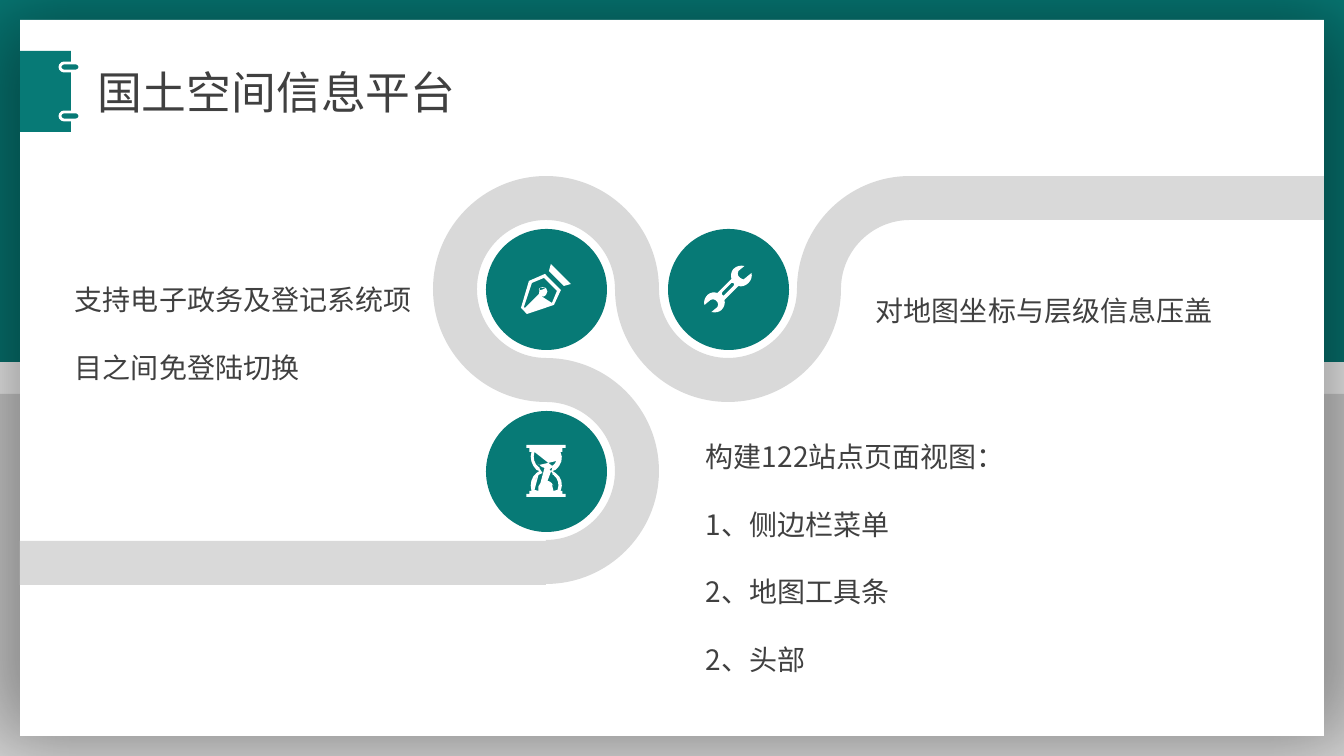
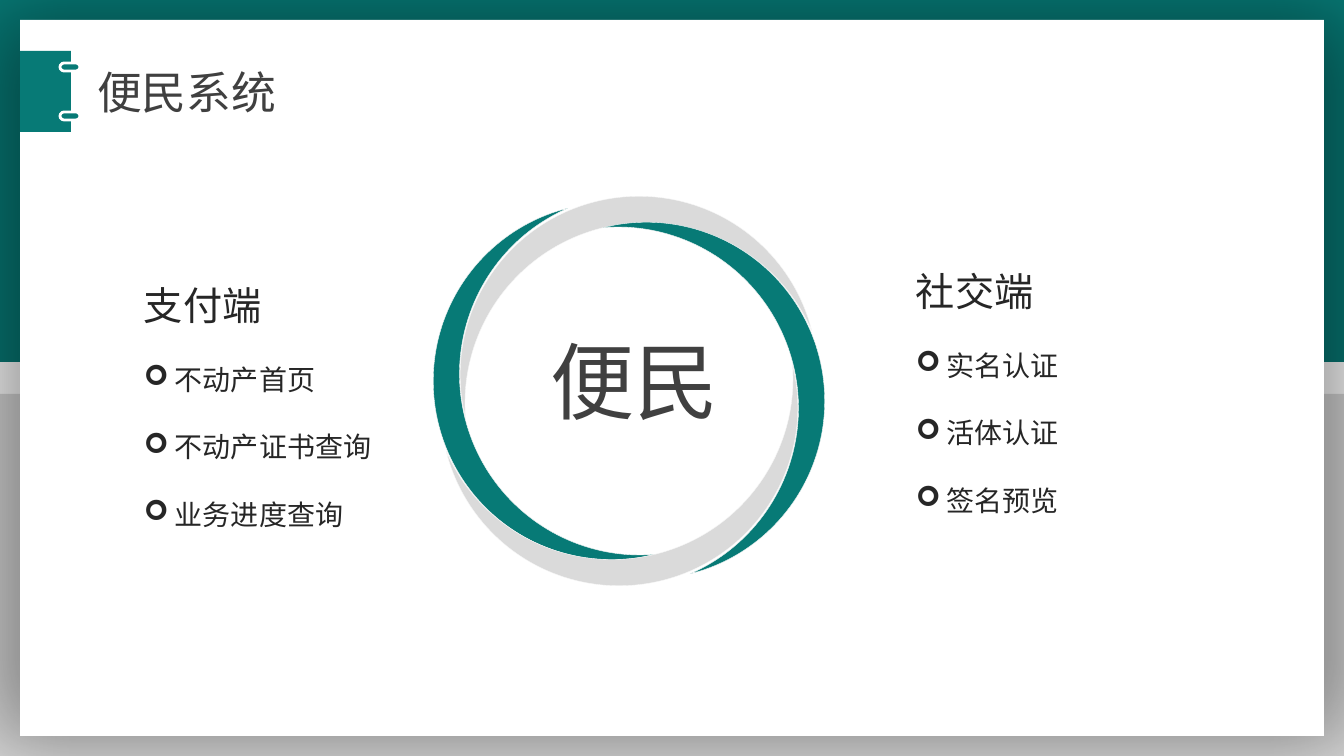
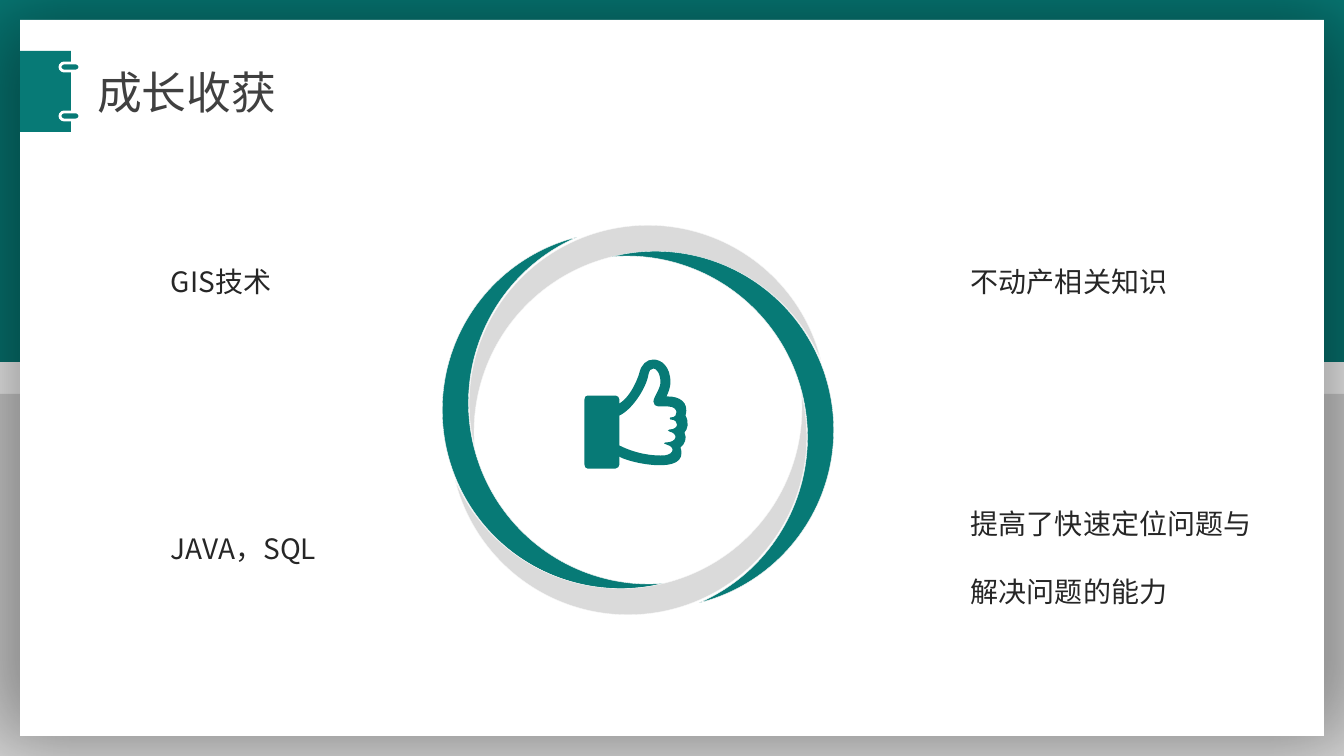
import dataclasses

import lxml.etree
import pptx
import pptx.dml.color
import pptx.enum.shapes
import pptx.enum.text
import pptx.oxml.ns
import pptx.util

SHAPES = pptx.enum.shapes.MSO_SHAPE
ANCHOR = pptx.enum.text.MSO_ANCHOR
EMU_PER_PX = 914400 / 100.8
PAGE_WIDTH, PAGE_HEIGHT = 1344, 756
PANEL_MARGIN = 20


@dataclasses.dataclass(frozen=True)
class Theme:
    teal: str = "077A76"
    band: str = "DADADA"
    road: str = "D9D9D9"
    white: str = "FFFFFF"
    edge: str = "F8F8F8"
    title: str = "404040"
    text: str = "262626"
    font: str = "Noto Sans CJK SC"
    display_font: str = "Noto Sans CJK JP"
    bullet_font: str = "Wingdings"
    title_size: int = 32
    heading_size: int = 28
    body_size: int = 20
    display_size: int = 60
    line_height: float = 2.41


THEME = Theme()

# Each outline is a list of points; six numbers make a cubic curve.
PEN = (
    "50,20 43,22 28,7 30,0",
    "24,10 40,26 33,41 6,50 0,44 8,17",
    "36,27 23,14 11,19 3,43 4,44 18,30 17,28,17,26,19,24 20,23,23,23,25,24 "
    "27,26,27,29,25,31 24,33,22,33,20,32 6,46 7,47 31,39",
)
HOURGLASS = (
    "36,3 39,3 39,0 0,0 0,3 3,3 3,7 5,7 3,13,5,20,10,25 11,25,12,26,13,26 "
    "12,27,11,27,10,28 5,32,3,39,5,46 3,46 3,49 0,49 0,52 39,52 39,49 36,49 "
    "36,46 34,46 37,39,35,32,29,28 28,27,27,27,26,26 27,26,28,25,29,25 "
    "35,20,37,13,34,7 36,7",
    "27,22 26,23,24,24,23,24 23,28 24,29,26,29,27,30 32,34,33,40,31,45 31,46 "
    "27,46 28,43,27,40,25,38 24,37,23,36,21,36 21,23 23,22,25,22,27,20 "
    "28,19,29,18,30,16 10,16 10,18,11,19,13,20 14,22,16,22,18,23 18,36 "
    "17,36,15,37,14,38 12,40,11,43,12,46 8,46 8,45 6,40,8,34,12,30 "
    "13,29,15,29,16,28 16,24 15,24,13,23,12,22 8,19,6,13,8,7 31,7 "
    "33,13,32,19,27,22",
)
WRENCH = (
    "48,8 42,13 41,15,39,15,37,13 35,11 34,10,34,8,35,6 41,1 37,0,33,1,30,4 "
    "28,6,27,10,28,14 14,28 11,27,7,27,4,30 1,33,0,37,1,40 7,35 "
    "8,34,11,34,12,35 14,37 15,38,15,41,14,42 8,47 12,48,16,47,18,45 "
    "21,42,22,38,21,35 35,21 38,22,42,21,45,18 48,15,49,11,48,8",
    "30,21 21,30 21,31,20,31,19,30 18,29,18,28,19,27 28,18 29,18,30,18,30,18 "
    "31,19,31,20,30,21",
)
THUMB_UP = (
    "96,88 106,118,40,102,35,97 35,105 35,107,33,109,31,109 3,109 "
    "1,109,0,107,0,105 0,40 0,38,1,36,3,36 31,36 33,36,35,38,35,40 35,44 "
    "48,36,55,14,55,13 57,5,62,0,69,0 77,0,86,7,86,23 86,27,84,33,82,37 "
    "84,37 94,37,105,42,101,56 105,63,103,70,100,73 103,79,100,85,96,88",
    "85,70 95,70,95,60,86,60 85,59,85,58,86,58 95,58,94,47,84,47 74,47 "
    "71,47,69,45,69,42 69,38,76,29,76,23 76,14,72,9,69,9 66,9,65,11,64,15 "
    "62,28,48,50,35,56 35,86 53,95,69,96,76,96 88,97,93,88,82,85 "
    "79,84,79,83,81,83 93,83,94,74,85,72 83,72,83,70,85,70",
)


def px(length):
    return pptx.util.Emu(round(length * EMU_PER_PX))


def rgb(color):
    return pptx.dml.color.RGBColor.from_string(color)


def add_child(parent, tag, **attributes):
    child = lxml.etree.SubElement(parent, pptx.oxml.ns.qn(tag))
    for name, value in attributes.items():
        child.set(name, str(value))
    return child


def paint(shape, fill, line=None, line_width=0):
    shape.shadow.inherit = False
    shape.fill.solid()
    shape.fill.fore_color.rgb = rgb(fill)
    if line:
        shape.line.color.rgb = rgb(line)
        shape.line.width = pptx.util.Pt(line_width)
    else:
        shape.line.fill.background()
    return shape


def add_preset(slide, preset, box, fill, line=None, line_width=0):
    shape = slide.shapes.add_shape(preset, *map(px, box))
    return paint(shape, fill, line, line_width)


def add_outline(slide, contours, fill):
    """Draw contours of segments, each a list of points: one for a line, three for a curve."""
    builder = None
    for contour in contours:
        ends = [tuple(map(px, segment[-1])) for segment in contour]
        if builder is None:
            builder = slide.shapes.build_freeform(*ends[0])
        else:
            builder.move_to(*ends[0])
        builder.add_line_segments(ends[1:])
    shape = builder.convert_to_shape()
    lines = list(shape.element.iter(pptx.oxml.ns.qn("a:lnTo")))
    segments = []
    for contour in contours:
        segments += contour[1:]
        if contour[0][-1] != contour[-1][-1]:
            segments.append(contour[0])
    for line, segment in zip(lines, segments):
        if len(segment) == 3:
            line.tag = pptx.oxml.ns.qn("a:cubicBezTo")
            line.clear()
            for x, y in segment:
                add_child(line, "a:pt", x=px(x) - shape.left, y=px(y) - shape.top)
    paint(shape, fill)


def add_icon(slide, outlines, center, fill):
    """Draw an icon centred on a point; inner outlines cut holes."""
    contours = []
    for outline in outlines:
        numbers = [[int(value) for value in token.split(",")] for token in outline.split()]
        contours.append([list(zip(values[::2], values[1::2])) for values in numbers])
    ends = [segment[-1] for contour in contours for segment in contour]
    shift_x, shift_y = [
        middle - (min(values) + max(values)) / 2
        for middle, values in zip(center, zip(*ends))
    ]
    placed = [
        [[(x + shift_x, y + shift_y) for x, y in segment] for segment in contour]
        for contour in contours
    ]
    add_outline(slide, placed, fill)


def style_paragraph(paragraph, size, color, font=THEME.font):
    paragraph.alignment = pptx.enum.text.PP_ALIGN.LEFT
    paragraph.font.size = pptx.util.Pt(size)
    paragraph.font.color.rgb = rgb(color)
    paragraph.font.name = font
    properties = paragraph._p.pPr.find(pptx.oxml.ns.qn("a:defRPr"))
    add_child(properties, "a:ea", typeface=font)


def add_text(slide, box, lines, color=THEME.text, heading=None):
    """Place widely spaced lines; under a heading they become a bulleted list."""
    frame = slide.shapes.add_textbox(*map(px, box)).text_frame
    frame.word_wrap = True
    entries = [(heading, THEME.heading_size, False)] if heading else []
    entries += [(line, THEME.body_size, bool(heading)) for line in lines]
    for index, (text, size, bulleted) in enumerate(entries):
        paragraph = frame.add_paragraph() if index else frame.paragraphs[0]
        paragraph.text = text
        paragraph.line_spacing = pptx.util.Pt(round(size * THEME.line_height, 1))
        if bulleted:
            properties = paragraph._p.get_or_add_pPr()
            properties.set("marL", str(px(31)))
            properties.set("indent", str(-px(31)))
            add_child(properties, "a:buFont", typeface=THEME.bullet_font)
            add_child(properties, "a:buChar", char="➢")
        style_paragraph(paragraph, size, color)


def build_frame(slide):
    """Put the bands, the panel and the title tab on the slide's layout."""
    band_height = 362
    panel_box = (PANEL_MARGIN, PANEL_MARGIN,
                 PAGE_WIDTH - 2 * PANEL_MARGIN, PAGE_HEIGHT - 2 * PANEL_MARGIN)
    top_band = (0, 0, PAGE_WIDTH, band_height)
    bottom_band = (0, PAGE_HEIGHT - band_height, PAGE_WIDTH, band_height)
    parts = [
        add_preset(slide, SHAPES.RECTANGLE, top_band, THEME.teal),
        add_preset(slide, SHAPES.RECTANGLE, bottom_band, THEME.band),
    ]
    panel = add_preset(slide, SHAPES.RECTANGLE, panel_box, THEME.white)
    effects = panel.element.spPr.find(pptx.oxml.ns.qn("a:effectLst"))
    shadow = add_child(effects, "a:outerShdw", blurRad=pptx.util.Pt(63), dist=0,
                       sx=104000, sy=102000, algn="ctr", rotWithShape=0)
    add_child(add_child(shadow, "a:srgbClr", val="000000"), "a:alpha", val=40000)
    parts.append(panel)
    parts.append(add_preset(slide, SHAPES.RECTANGLE, (PANEL_MARGIN, 51, 51, 81), THEME.teal))
    for clip_top in (63, 112):
        clip = add_preset(slide, SHAPES.ROUNDED_RECTANGLE, (60, clip_top, 20, 8),
                          THEME.teal, THEME.white, 2)
        clip.adjustments[0] = 0.5
        parts.append(clip)
    layout_tree = slide.slide_layout.shapes.element
    for index, part in enumerate(parts):
        part.element.nvSpPr.cNvPr.set("id", str(100 + index))
        layout_tree.insert(2 + index, part.element)


def set_title(slide, text):
    title = slide.shapes.title
    title.left, title.top, title.width, title.height = map(px, (87, 59, 422, 65))
    frame = title.text_frame
    frame.text = text
    frame.auto_size = pptx.enum.text.MSO_AUTO_SIZE.NONE
    frame.vertical_anchor = ANCHOR.MIDDLE
    style_paragraph(frame.paragraphs[0], THEME.title_size, THEME.title)


def add_road_quarter(slide, center, outer, inner, side_x, side_y):
    """Draw a quarter ring on the side of the centre given by two signs."""
    handle = 0.55

    def at(radius, x, y):
        return center[0] + side_x * radius * x, center[1] + side_y * radius * y

    contour = [
        [at(outer, 1, 0)],
        [at(outer, 1, handle), at(outer, handle, 1), at(outer, 0, 1)],
        [at(inner, 0, 1)],
        [at(inner, handle, 1), at(inner, 1, handle), at(inner, 1, 0)],
    ]
    add_outline(slide, [contour], THEME.road)


def add_road(slide, left, top, right):
    """Draw the winding road and its three stops between two panel edges."""
    radius, thickness, disc_size = 113, 44, 121
    inner = radius - thickness
    pitch = radius + inner
    first_x, upper_y = left + 526, top + radius
    lower_y = upper_y + pitch
    columns = [first_x + pitch * index for index in range(3)]
    first, second, third = [(x, upper_y) for x in columns]
    lower = (first_x, lower_y)
    quarters = (
        (third, -1, -1), (second, 1, 1), (second, -1, 1), (first, 1, -1),
        (first, -1, -1), (first, -1, 1), (lower, 1, -1), (lower, 1, 1),
    )
    for center, side_x, side_y in quarters:
        add_road_quarter(slide, center, radius, inner, side_x, side_y)
    exit_box = (columns[2], top, right - columns[2], thickness)
    entry_box = (left, lower_y + inner + 1, first_x - left, thickness)
    for box in (exit_box, entry_box):
        add_preset(slide, SHAPES.RECTANGLE, box, THEME.road)
    stops = ((second, WRENCH), (first, PEN), (lower, HOURGLASS))
    for (x, y), icon in stops:
        box = (x - disc_size // 2, y - disc_size // 2, disc_size, disc_size)
        add_preset(slide, SHAPES.OVAL, box, THEME.teal)
    for center, icon in stops:
        add_icon(slide, icon, center, THEME.white)


def add_moon_ring(slide, center_x, center_y):
    """Draw four crescents, each a quarter turn on from the one at the left."""
    width, height, side, rise, tilt = 178, 357, 104, 103, 12
    quarters = (
        (0, -side, tilt, THEME.teal),
        (1, -tilt, -rise, THEME.band),
        (3, tilt, rise, THEME.band),
        (2, side, -tilt, THEME.teal),
    )
    for turns, shift_x, shift_y, fill in quarters:
        box = (center_x + shift_x - width / 2, center_y + shift_y - height / 2, width, height)
        moon = add_preset(slide, SHAPES.MOON, box, fill, THEME.edge, 0.25)
        moon.adjustments[0] = 0.152
        moon.rotation = (345.9 + 90 * turns) % 360


def add_ring_label(slide, box, text):
    frame = slide.shapes.add_textbox(*map(px, box)).text_frame
    frame.word_wrap = True
    frame.vertical_anchor = ANCHOR.MIDDLE
    frame.text = text
    style_paragraph(frame.paragraphs[0], THEME.display_size, THEME.title, THEME.display_font)


def build_platform_slide(slide):
    set_title(slide, "国土空间信息平台")
    add_road(slide, PANEL_MARGIN, 176, PAGE_WIDTH - PANEL_MARGIN)
    notes = (
        ((866, 255, 377, 78), ["对地图坐标与层级信息压盖"]),
        ((65, 244, 368, 146), ["支持电子政务及登记系统项目之间免登陆切换"]),
        ((696, 401, 404, 281),
         ["构建122站点页面视图：", "1、侧边栏菜单", "2、地图工具条", "2、头部"]),
    )
    for box, lines in notes:
        add_text(slide, box, lines, THEME.title)


def build_service_slide(slide):
    set_title(slide, "便民系统")
    add_moon_ring(slide, 629, 391)
    add_text(slide, (134, 229, 304, 308),
             ["不动产首页", "不动产证书查询", "业务进度查询"], heading="支付端")
    add_text(slide, (906, 215, 304, 308),
             ["实名认证", "活体认证", "签名预览"], heading="社交端")
    add_ring_label(slide, (541, 324, 192, 112), "便民")


def build_growth_slide(slide):
    set_title(slide, "成长收获")
    add_moon_ring(slide, 638, 420)
    add_icon(slide, THUMB_UP, (635, 414), THEME.teal)
    left_column, right_column, width = 161, 961, 304
    gains = (
        (left_column, 226, 68, "GIS技术"),
        (right_column, 226, 68, "不动产相关知识"),
        (left_column, 493, 68, "JAVA，SQL"),
        (right_column, 468, 146, "提高了快速定位问题与解决问题的能力"),
    )
    for left, top, height, text in gains:
        add_text(slide, (left, top, width, height), [text])


def main():
    presentation = pptx.Presentation()
    presentation.slide_width = px(PAGE_WIDTH)
    presentation.slide_height = px(PAGE_HEIGHT)
    layout = presentation.slide_layouts.get_by_name("Title Only")
    builders = (build_platform_slide, build_service_slide, build_growth_slide)
    slides = [presentation.slides.add_slide(layout) for _ in builders]
    build_frame(slides[0])
    for slide, build in zip(slides, builders):
        build(slide)
    presentation.save("out.pptx")


if __name__ == "__main__":
    main()
